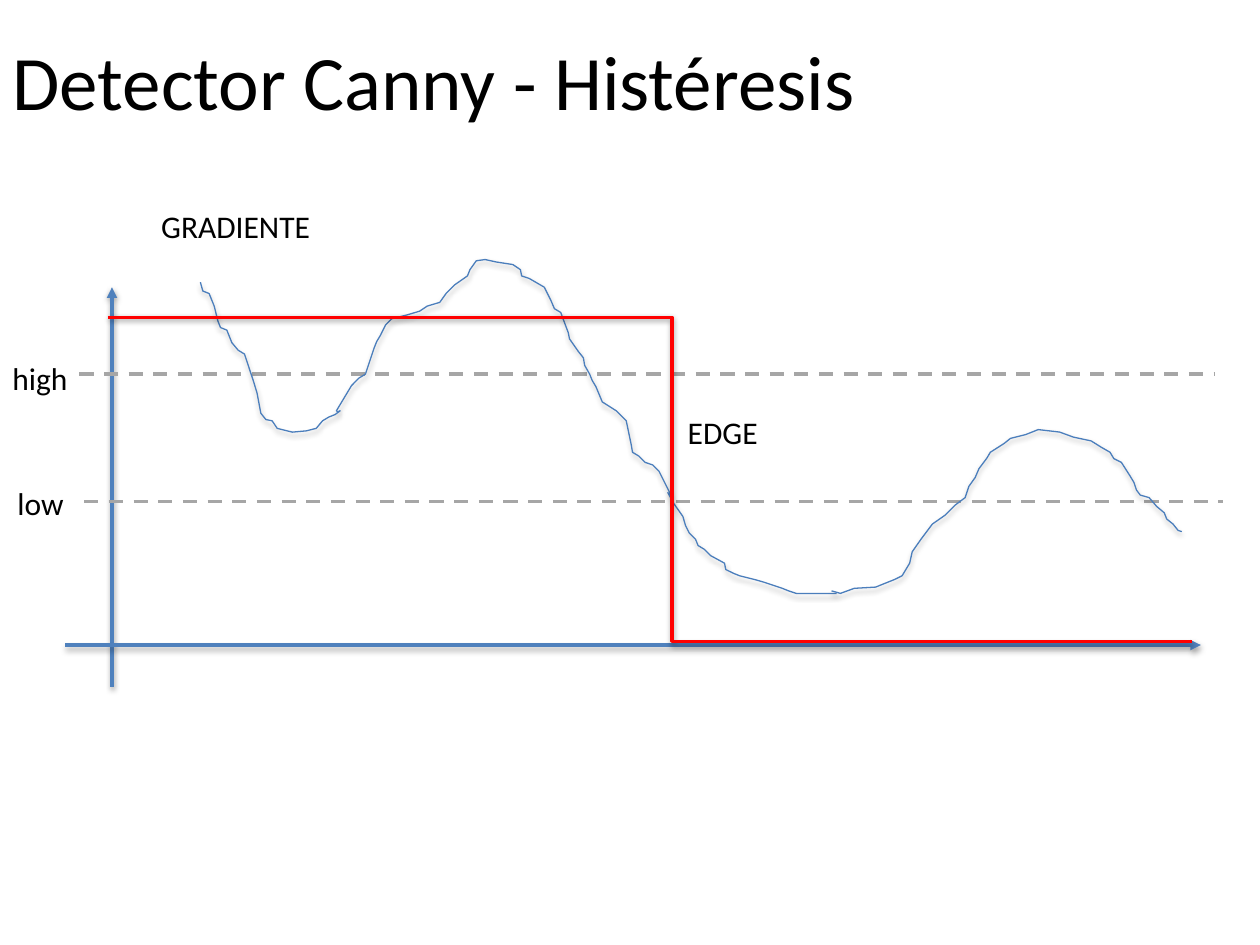
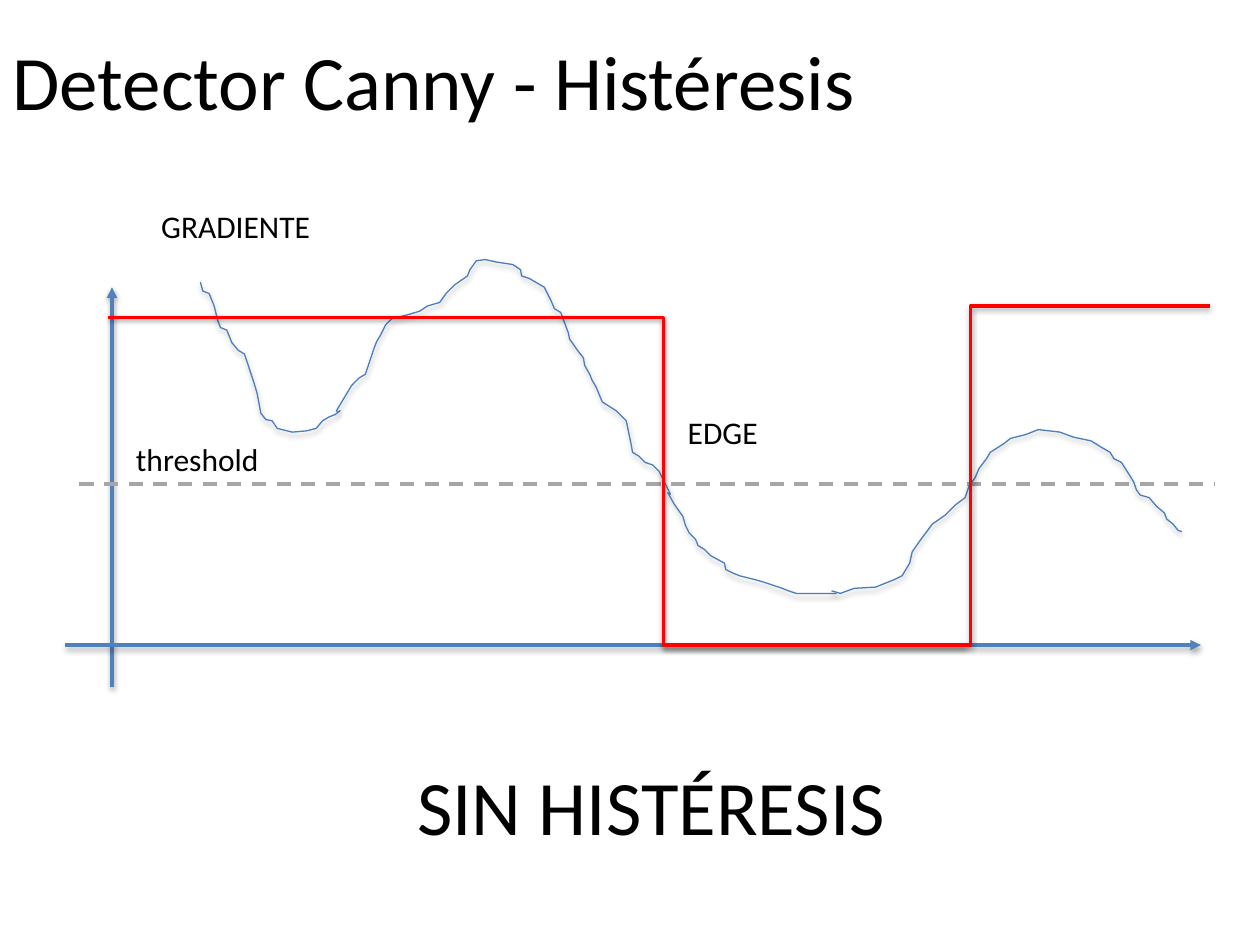
from dataclasses import dataclass

import pptx
import pptx.dml.color
import pptx.enum.dml
import pptx.enum.shapes
import pptx.enum.text
import pptx.oxml
import pptx.oxml.ns
import pptx.util
from lxml import etree

Pt = pptx.util.Pt
Connector = pptx.enum.shapes.MSO_CONNECTOR
Align = pptx.enum.text.PP_ALIGN


@dataclass(frozen=True)
class Theme:
    font: str = "Calibri"
    heading_size: float = 44
    label_size: float = 18
    text: str = "000000"
    axis: str = "4F81BD"
    gradient: str = "4B7EBC"
    threshold: str = "A6A6A6"
    edge: str = "FF0000"
    line_width: float = 2
    gradient_width: float = 0.75
    shadow_blur: float = 3.1


THEME = Theme()
LINE_SHADOW = {"dist": 1.6, "alpha": 38}
CURVE_SHADOW = {"dist": 1.8, "alpha": 35}

HEADING = "Detector Canny - Histéresis"
HEADING_SIZE = (612, 90)
LABEL_HEIGHT = 28.8
PLOT_TOP, BASELINE = 181.4, 368.6
STEP_START = 61.9

# Curve vertices count in units of 0.72 pt.
CURVE_UNIT = 0.72
FALLING_GRADIENT = [
    (159, 224), (161, 231), (166, 233), (170, 243), (173, 255), (175, 260), (180, 262),
    (184, 272), (189, 278), (194, 281), (201, 302), (204, 312), (207, 328), (211, 333),
    (216, 334), (220, 340), (232, 343), (243, 342), (251, 340), (256, 334), (261, 331),
    (266, 329), (270, 326), (268, 327), (267, 326), (273, 316), (279, 306), (285, 300),
    (290, 297), (297, 276), (299, 271), (302, 266), (306, 258), (311, 253), (323, 250),
    (333, 247), (339, 243), (349, 240), (354, 233), (361, 226), (371, 219), (373, 214),
    (378, 207), (385, 206), (394, 208), (407, 210), (413, 214), (414, 219), (420, 221),
    (432, 228), (437, 238), (440, 245), (445, 248), (451, 264), (452, 269), (459, 279),
    (463, 284), (464, 290), (468, 297), (470, 302), (473, 307), (478, 319), (489, 326),
    (497, 334), (501, 353), (502, 359), (507, 362), (512, 367), (518, 369), (523, 374),
    (532, 392), (531, 393), (530, 391), (535, 400), (542, 410), (544, 417), (547, 423),
    (552, 428), (554, 433), (559, 436), (564, 441), (575, 447), (576, 452), (582, 455),
    (587, 457), (599, 460), (606, 462), (621, 467), (626, 469), (632, 471), (664, 471),
]
RISING_GRADIENT = [
    (660, 469), (667, 471), (678, 467), (695, 466), (705, 462), (710, 460), (716, 457),
    (722, 447), (724, 438), (731, 428), (740, 416), (750, 409), (758, 401), (766, 395),
    (769, 386), (774, 379), (777, 372), (783, 364), (786, 359), (797, 352), (802, 348),
    (814, 345), (824, 341), (841, 343), (852, 347), (866, 350), (874, 355), (881, 359),
    (884, 364), (890, 367), (897, 378), (900, 383), (902, 389), (905, 393), (912, 395),
    (918, 402), (924, 407), (926, 412), (931, 416), (935, 421), (938, 422),
]


def rgb(color):
    return pptx.dml.color.RGBColor.from_string(color)


def apply_format(target, values):
    for name, value in values.items():
        setattr(target, name, value)


def add_effects(shape, shadow=None):
    """Write the effect list, which stays empty when there is no shadow."""
    effects = etree.SubElement(shape._element.spPr, pptx.oxml.ns.qn("a:effectLst"))
    if shadow:
        effects.append(pptx.oxml.parse_xml(
            f'<a:outerShdw {pptx.oxml.ns.nsdecls("a")} blurRad="{Pt(THEME.shadow_blur)}" '
            f'dist="{Pt(shadow["dist"])}" dir="5400000" rotWithShape="0">'
            f'<a:srgbClr val="000000"><a:alpha val="{shadow["alpha"] * 1000}"/></a:srgbClr>'
            "</a:outerShdw>"))


def style_line(shape, color, width):
    shape.line.color.rgb = rgb(color)
    shape.line.width = Pt(width)


def add_line(slide, start, end, color, kind=Connector.STRAIGHT):
    line = slide.shapes.add_connector(kind, *map(Pt, start + end))
    style_line(line, color, THEME.line_width)
    return line


def add_axis(slide, start, end):
    axis = add_line(slide, start, end, THEME.axis)
    outline = axis.line._get_or_add_ln()
    etree.SubElement(outline, pptx.oxml.ns.qn("a:tailEnd"), type="triangle")
    add_effects(axis, LINE_SHADOW)


def add_threshold(slide, left, right, y):
    threshold = add_line(slide, (left, y), (right, y), THEME.threshold)
    threshold.line.dash_style = pptx.enum.dml.MSO_LINE.DASH
    add_effects(threshold)


def add_edge_step(slide, start, end, turn):
    """Draw a step whose vertical part lies at `turn` percent of its width."""
    step = add_line(slide, start, end, THEME.edge, Connector.ELBOW)
    geometry = step._element.spPr.find(pptx.oxml.ns.qn("a:prstGeom"))
    guides = geometry.get_or_add_avLst()
    etree.SubElement(guides, pptx.oxml.ns.qn("a:gd"),
                     name="adj1", fmla=f"val {round(turn * 1000)}")
    add_effects(step, LINE_SHADOW)


def add_gradient_curve(slide, vertices):
    builder = slide.shapes.build_freeform(*vertices[0], scale=Pt(CURVE_UNIT))
    builder.add_line_segments(vertices[1:], close=False)
    curve = builder.convert_to_shape()
    curve.fill.background()
    style_line(curve, THEME.gradient, THEME.gradient_width)
    add_effects(curve, CURVE_SHADOW)


def write_text(shape, text, size, align):
    paragraph = shape.text_frame.paragraphs[0]
    paragraph.text = text
    paragraph.alignment = align
    apply_format(paragraph.runs[0].font, {"name": THEME.font, "size": Pt(size)})
    paragraph.runs[0].font.color.rgb = rgb(THEME.text)


def add_label(slide, text, left, top, width):
    label = slide.shapes.add_textbox(*map(Pt, (left, top, width, LABEL_HEIGHT)))
    apply_format(label.text_frame, {
        "word_wrap": False,
        "auto_size": pptx.enum.text.MSO_AUTO_SIZE.SHAPE_TO_FIT_TEXT,
    })
    write_text(label, text, THEME.label_size, Align.LEFT)


def format_heading(shape, text, left, top, align):
    width, height = map(Pt, HEADING_SIZE)
    apply_format(shape, {"left": Pt(left), "top": Pt(top), "width": width, "height": height})
    apply_format(shape.text_frame, {
        "word_wrap": True,
        "auto_size": pptx.enum.text.MSO_AUTO_SIZE.NONE,
        "vertical_anchor": pptx.enum.text.MSO_ANCHOR.MIDDLE,
    })
    write_text(shape, text, THEME.heading_size, align)


def add_caption(slide, text, left, top):
    caption = slide.shapes.add_textbox(0, 0, 0, 0)
    format_heading(caption, text, left, top, Align.CENTER)


def add_plot_slide(deck, thresholds, steps, labels):
    """Add a slide with the shared axes and curves, and its own thresholds and steps."""
    slide = deck.slides.add_slide(deck.slide_layouts[5])
    format_heading(slide.shapes.title, HEADING, 0, 0.7, Align.LEFT)
    add_axis(slide, (64, 392.4), (64, 164.2))
    add_axis(slide, (37.4, BASELINE), (686.2, BASELINE))
    for threshold in thresholds:
        add_threshold(slide, *threshold)
    for vertices in (FALLING_GRADIENT, RISING_GRADIENT):
        add_gradient_curve(slide, vertices)
    for step in steps:
        add_edge_step(slide, *step)
    shared_labels = [("EDGE", 385.9, 232.6, 54.7), ("GRADIENTE", 85, 114.5, 100.1)]
    for label in labels + shared_labels:
        add_label(slide, *label)
    return slide


def main():
    deck = pptx.Presentation()
    apply_format(deck, {"slide_width": Pt(720), "slide_height": Pt(540)})

    add_plot_slide(
        deck,
        thresholds=[(45.4, 694, 213.8), (48.2, 699.1, 286.6)],
        steps=[((STEP_START, PLOT_TOP), (681.4, 366.5), 52)],
        labels=[("low", 2.9, 272.9, 41), ("high", 0, 201.6, 46.8)],
    )
    without_hysteresis = add_plot_slide(
        deck,
        thresholds=[(45.4, 694, 276.5)],
        steps=[
            ((STEP_START, PLOT_TOP), (552.2, BASELINE), 64.7),
            ((378.7, BASELINE), (691.2, 175), 56.3),
        ],
        labels=[("threshold", 70.6, 247.7, 85.7)],
    )
    add_caption(without_hysteresis, "SIN HISTÉRESIS", 66.2, 414.7)

    deck.save("out.pptx")


if __name__ == "__main__":
    main()
